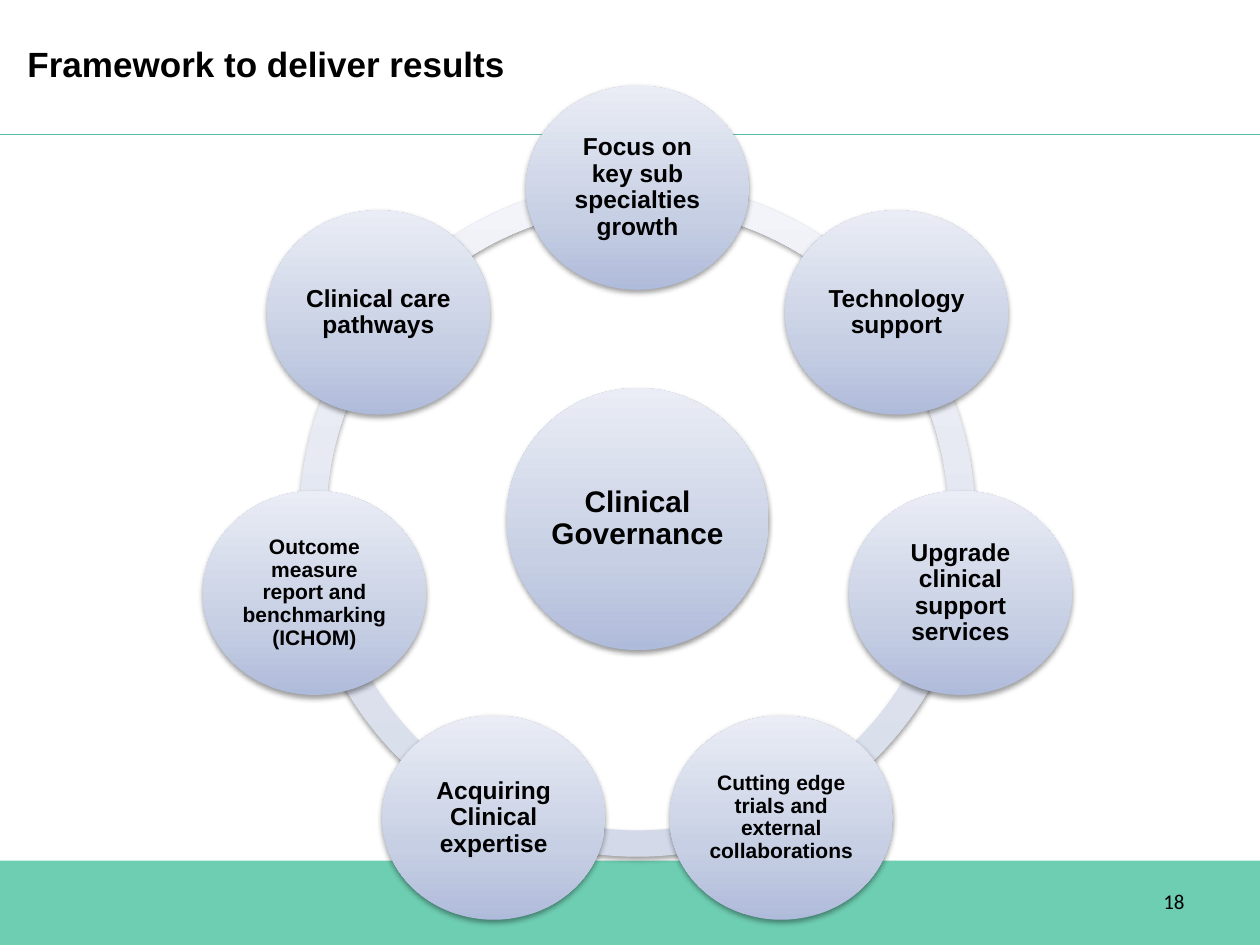
import copy
import math
import pptx
import pptx.dml.color
import pptx.enum.shapes
import pptx.enum.text
import pptx.oxml
import pptx.oxml.ns
import pptx.util
from lxml import etree

# Content
TITLE = "Framework to deliver results"
PAGE = "18"
HUB = "Clinical Governance"
NODES = [  # clockwise from the top: text, size key
    ("Focus on key sub specialties growth", "node"),
    ("Technology support", "node"),
    ("Upgrade clinical support services", "node"),
    ("Cutting edge trials and external collaborations", "small"),
    ("Acquiring Clinical expertise", "node"),
    ("Outcome measure report and benchmarking (ICHOM)", "small"),
    ("Clinical care pathways", "node"),
]

THEME = {
    "ink": "000000", "band": "6ECEB2", "rule": "5DBAB0",
    "ball": [(0, "AFBBDA"), (0.35, "C7CFE4"), (1, "EAEDF5")],
    "ring": [(0, "D3D9E9"), (0.35, "E0E4EF"), (1, "F2F4F9")],
    "font": "Arial", "num_font": "Calibri",
    "title": 20, "hub": 17, "node": 14, "small": 12, "page": 12,
}

# Wheel geometry, in inches
MID_X, MID_Y = 5.06, 4.12
ORBIT = 2.63
RING, HUB_D = 5.36, 2.08
NODE_W, NODE_H = 1.77, 1.62
STEP = 360 / len(NODES)

Inches = pptx.util.Inches
KIND = pptx.enum.shapes.MSO_SHAPE
ALIGN = pptx.enum.text.PP_ALIGN
MIDDLE = pptx.enum.text.MSO_ANCHOR.MIDDLE
SHADOW = (
    '<a:outerShdw %s blurRad="39370" dist="20320" dir="5400000" rotWithShape="0">'
    '<a:srgbClr val="000000"><a:alpha val="38000"/></a:srgbClr></a:outerShdw>'
    % pptx.oxml.ns.nsdecls("a"))


def rgb(code):
    return pptx.dml.color.RGBColor.from_string(code)


def add_shape(slide, kind, x, y, w, h):
    shape = slide.shapes.add_shape(kind, Inches(x), Inches(y), Inches(w), Inches(h))
    shape.shadow.inherit = False
    shape.line.fill.background()
    return shape


def add_round(slide, kind, x, y, w, h, stops):
    """Add a shape centred on x, y with an upward gradient and a soft shadow."""
    shape = add_shape(slide, kind, x - w / 2, y - h / 2, w, h)
    shape.fill.gradient()
    shape.fill.gradient_angle = 90
    group = shape._element.spPr.find(".//" + pptx.oxml.ns.qn("a:gsLst"))
    group.append(copy.deepcopy(group[-1]))
    for stop, (place, code) in zip(shape.fill.gradient_stops, stops):
        stop.position = place
        stop.color.rgb = rgb(code)
    effect = shape._element.spPr.find(pptx.oxml.ns.qn("a:effectLst"))
    effect.append(pptx.oxml.parse_xml(SHADOW))
    return shape


def set_text(shape, text, size, align, font="font", bold=True):
    frame = shape.text_frame
    frame.word_wrap = True
    frame.text = text
    para = frame.paragraphs[0]
    para.alignment = align
    face = para.runs[0].font
    face.name, face.size, face.bold = THEME[font], pptx.util.Pt(THEME[size]), bold
    face.color.rgb = rgb(THEME["ink"])
    return frame


def add_ball(slide, x, y, w, h, text, size):
    ball = add_round(slide, KIND.OVAL, x, y, w, h, THEME["ball"])
    frame = set_text(ball, text, size, ALIGN.CENTER)
    frame.vertical_anchor = MIDDLE
    frame.margin_left = frame.margin_right = Inches(0.02)
    frame.margin_top = frame.margin_bottom = Inches(0.02)
    frame.paragraphs[0].line_spacing = 0.9


def add_box(slide, x, y, w, h):
    return slide.shapes.add_textbox(Inches(x), Inches(y), Inches(w), Inches(h))


def main():
    deck = pptx.Presentation()
    deck.slide_width, deck.slide_height = Inches(10), Inches(7.5)
    slide = deck.slides.add_slide(deck.slide_layouts[6])

    # Footer band and header rule
    band = add_shape(slide, KIND.RECTANGLE, 0, 6.83, 10, 0.67)
    band.fill.solid()
    band.fill.fore_color.rgb = rgb(THEME["band"])
    rule = slide.shapes.add_connector(
        pptx.enum.shapes.MSO_CONNECTOR.STRAIGHT,
        Inches(0), Inches(1.07), Inches(10), Inches(1.07))
    rule.line.color.rgb = rgb(THEME["rule"])
    rule.line.width = pptx.util.Pt(0.75)
    etree.SubElement(rule._element.spPr, pptx.oxml.ns.qn("a:effectLst"))

    # Ring, one arc per gap between nodes (angles count in 0.6 per degree)
    for i in reversed(range(len(NODES))):
        arc = add_round(slide, KIND.BLOCK_ARC, MID_X, MID_Y, RING, RING, THEME["ring"])
        start = 270 + i * STEP
        arc.adjustments[0] = start % 360 * 0.6
        arc.adjustments[1] = (start + STEP) % 360 * 0.6
        arc.adjustments[2] = 0.039

    # Hub and nodes
    add_ball(slide, MID_X, MID_Y, HUB_D, HUB_D, HUB, "hub")
    for i, (text, size) in enumerate(NODES):
        turn = math.radians(i * STEP)
        x = MID_X + ORBIT * math.sin(turn)
        y = MID_Y - ORBIT * math.cos(turn)
        add_ball(slide, x, y, NODE_W, NODE_H, text, size)

    # Title and page number
    set_text(add_box(slide, 0.12, 0.29, 8.2, 0.44), TITLE, "title", ALIGN.LEFT)
    page = add_box(slide, 7.17, 6.95, 2.33, 0.4)
    frame = set_text(page, PAGE, "page", ALIGN.RIGHT, "num_font", False)
    frame.vertical_anchor = MIDDLE

    deck.save("out.pptx")


if __name__ == "__main__":
    main()
